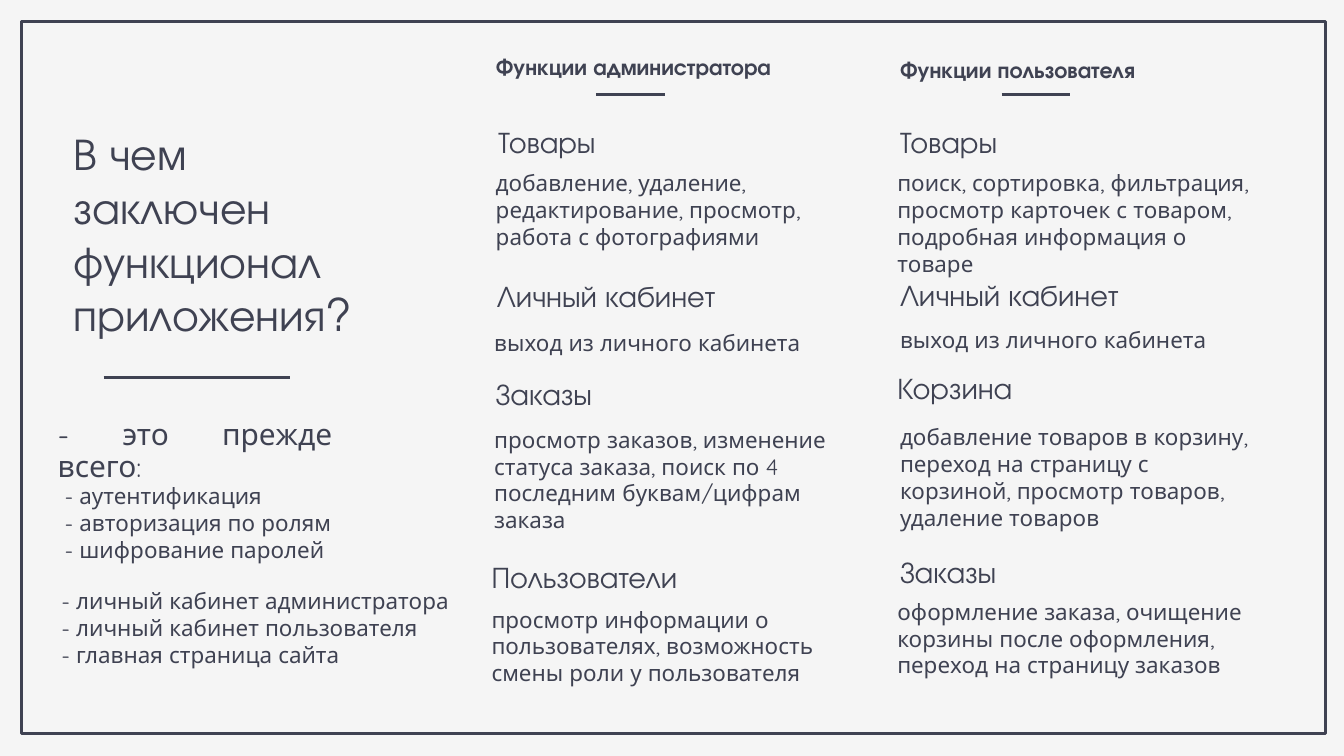
from lxml import etree
from pptx import Presentation
from pptx.dml.color import RGBColor
from pptx.enum.shapes import MSO_CONNECTOR, MSO_SHAPE
from pptx.enum.text import MSO_ANCHOR, MSO_AUTO_SIZE, PP_ALIGN
from pptx.oxml.ns import qn
from pptx.util import Cm, Pt

INK = RGBColor(0x3F, 0x42, 0x52)
PAPER = RGBColor(0xF5, 0xF5, 0xF5)
HEAD_FONT = "TeX Gyre Adventor"
TEXT_FONT = "Quicksand"
LEFT, JUST = PP_ALIGN.LEFT, PP_ALIGN.JUSTIFY
TOP = MSO_ANCHOR.TOP
FIXED = MSO_AUTO_SIZE.NONE
RECT = MSO_SHAPE.RECTANGLE
STRAIGHT = MSO_CONNECTOR.STRAIGHT

ROLES = ["- аутентификация", "- авторизация по ролям", "- шифрование паролей"]
PAGES = ["- личный кабинет администратора", "- личный кабинет пользователя",
         "- главная страница сайта"]

# Each part: heading, its offset, text, its offset (cm from the column corner)
ADMIN = [
    ("Товары", (0.13, 1.32),
     "добавление, удаление, редактирование, просмотр, работа с фотографиями",
     (0.08, 2.19)),
    ("Личный кабинет", (0.1, 4.24), "выход из личного кабинета", (0.05, 5.21)),
    ("Заказы", (0.08, 6.1),
     "просмотр заказов, изменение статуса заказа, поиск по 4 последним "
     "буквам/цифрам заказа", (0.05, 7.04)),
    ("Пользователи", (0, 9.55),
     "просмотр информации о пользователях, возможность смены роли у "
     "пользователя", (0, 10.44)),
]
USER = [
    ("Товары", (0.05, 1.32),
     "поиск, сортировка, фильтрация, просмотр карточек с товаром, подробная "
     "информация о товаре", (0, 2.19)),
    ("Личный кабинет", (0.05, 4.22), "выход из личного кабинета", (0.05, 5.16)),
    ("Корзина", (0, 5.97),
     "добавление товаров в корзину, переход на страницу с корзиной, просмотр "
     "товаров, удаление товаров", (0.05, 6.99)),
    ("Заказы", (0.05, 9.45),
     "оформление заказа, очищение корзины после оформления, переход на "
     "страницу заказов", (0, 10.29)),
]


def write(shape, lines, font, size, bold=False, align=LEFT, pad=0.25, gap=None):
    """Fill a text shape; each line is a list of (text, size) runs or a string."""
    frame = shape.text_frame
    frame.word_wrap = True
    frame.auto_size = FIXED
    frame.vertical_anchor = TOP
    frame.margin_left = frame.margin_right = Cm(0.25)
    frame.margin_top = frame.margin_bottom = Cm(pad)
    for i, line in enumerate(lines):
        para = frame.add_paragraph() if i else frame.paragraphs[0]
        props = para._p.get_or_add_pPr()
        props.set("marL", "0")
        props.set("indent", "0")
        etree.SubElement(props, qn("a:buNone"))
        para.alignment = align
        para.space_before = Pt(0)
        if gap:
            para.line_spacing = gap
        for text, points in [(line, size)] if isinstance(line, str) else line:
            run = para.add_run()
            run.text = text
            run.font.name = font
            run.font.size = Pt(points)
            run.font.bold = bold
            run.font.color.rgb = INK


def place(shape, x, y, wide, high):
    shape.left, shape.top = Cm(x), Cm(y)
    shape.width, shape.height = Cm(wide), Cm(high)
    return shape


def new_box(slide, x, y, wide, high):
    return slide.shapes.add_textbox(Cm(x), Cm(y), Cm(wide), Cm(high))


def rule(slide, x, y, wide):
    line = slide.shapes.add_connector(STRAIGHT, Cm(x), Cm(y), Cm(x + wide), Cm(y))
    line.line.color.rgb = INK
    line.line.width = Pt(1.5)
    etree.SubElement(line._element.spPr, qn("a:effectLst"))


def border(slide, x, y, wide, high):
    frame = slide.shapes.add_shape(RECT, Cm(x), Cm(y), Cm(wide), Cm(high))
    frame.shadow.inherit = False
    frame.fill.background()
    frame.line.color.rgb = INK
    frame.line.width = Pt(1.5)


def panel(slide, holders, x, y):
    """Left side: title, rule, lead line and two lists."""
    title, roles, pages = holders
    write(place(title, x + 0.3, y, 5.89, 4.37),
          ["В чем заключен функционал приложения?"], HEAD_FONT, 24)
    rule(slide, x + 1.12, y + 5.01, 3.53)
    write(new_box(slide, x, y + 5.67, 5.69, 0.89),
          [[("- это прежде всего", 16), (":", 14)]],
          TEXT_FONT, 16, align=JUST, pad=0.13, gap=0.9)
    write(place(roles, x + 0.13, y + 6.86, 8, 1.8), ROLES,
          TEXT_FONT, 12, align=JUST, pad=0.13)
    write(place(pages, x + 0.07, y + 8.84, 8, 1.8), PAGES,
          TEXT_FONT, 12, align=JUST, pad=0.13)


def column(slide, holder, x, y, shift, name, parts):
    """One role: its name, a short rule and headed parts."""
    dx, dy = shift
    write(place(holder, x + dx, y + dy, 6.91, 1.47), [name],
          HEAD_FONT, 12, bold=True)
    rule(slide, x + 2.22, y + 1.02, 1.3)
    for head, (hx, hy), text, (tx, ty) in parts:
        write(new_box(slide, x + hx, y + hy, 6.27, 1.47), [head], HEAD_FONT, 16)
        write(new_box(slide, x + tx, y + ty, 7.21, 1.35), [text], TEXT_FONT, 12)


def main():
    deck = Presentation()
    deck.slide_width, deck.slide_height = Cm(25.4), Cm(14.29)
    slide = deck.slides.add_slide(deck.slide_layouts.get_by_name("Comparison"))
    slide.background.fill.solid()
    slide.background.fill.fore_color.rgb = PAPER
    title, admin, roles, user, pages = list(slide.placeholders)[:5]

    border(slide, 0.41, 0.41, 24.64, 13.46)
    panel(slide, (title, roles, pages), 0.84, 2.13)
    column(slide, admin, 9.04, 0.76, (0.08, 0), "Функции администратора", ADMIN)
    column(slide, user, 16.71, 0.76, (0.05, 0.05), "Функции пользователя", USER)
    deck.save("out.pptx")


if __name__ == "__main__":
    main()
